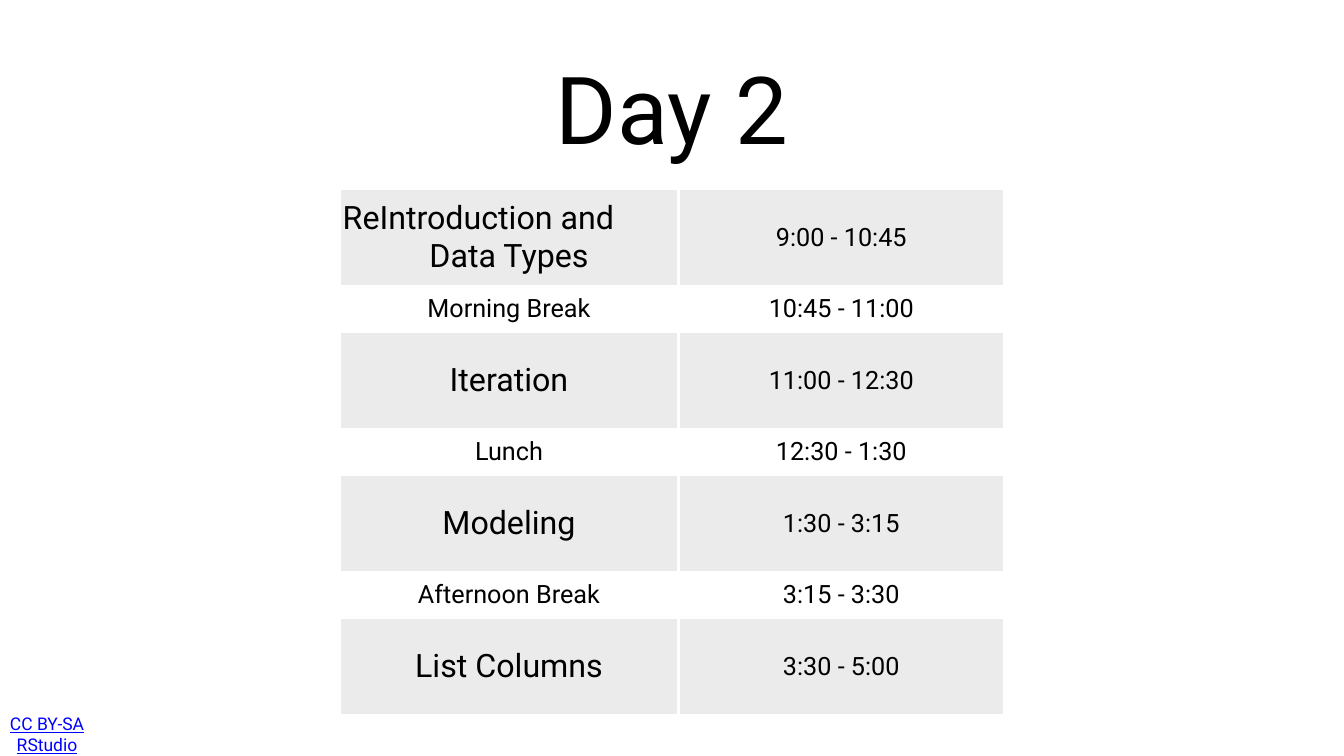
from lxml import etree
from pptx import Presentation
from pptx.dml.color import RGBColor
from pptx.enum.text import MSO_ANCHOR, PP_ALIGN
from pptx.oxml.ns import qn
from pptx.util import Inches, Pt

LEFT, CENTER = PP_ALIGN.LEFT, PP_ALIGN.CENTER
MIDDLE = MSO_ANCHOR.MIDDLE
WIDTH, HEIGHT = 26.67, 15
BLACK, WHITE, GRAY, BLUE = "000000", "FFFFFF", "EBEBEB", "0000FF"
SESSION_SIZE, TEXT_SIZE, TITLE_SIZE, LICENSE_SIZE = 46, 36, 134, 25
SESSION_HEIGHT, BREAK_HEIGHT = 1.94, 0.9
COLUMN_WIDTHS = 6.72, 6.47
INSET = 0.06
BORDER_WIDTH = 5
MARGINS = "margin_left", "margin_top", "margin_right", "margin_bottom"

SCHEDULE = [
    ([("ReIntroduction and", LEFT), ("Data Types", CENTER)], "9:00 - 10:45"),
    ([("Morning Break", CENTER)], "10:45 - 11:00"),
    ([("Iteration", CENTER)], "11:00 - 12:30"),
    ([("Lunch", CENTER)], "12:30 - 1:30"),
    ([("Modeling", CENTER)], "1:30 - 3:15"),
    ([("Afternoon Break", CENTER)], "3:15 - 3:30"),
    ([("List Columns", CENTER)], "3:30 - 5:00"),
]


def color(value):
    return RGBColor.from_string(value)


def set_attributes(target, values):
    for name, value in values.items():
        setattr(target, name, value)


class SlideBuilder:
    font_name = "Roboto"

    def __init__(self, presentation):
        self.slide = presentation.slides.add_slide(presentation.slide_layouts[6])
        background = self.slide.background.fill
        background.solid()
        background.fore_color.rgb = color(WHITE)

    def add_lines(self, frame, lines, size, text_color=BLACK, underline=False):
        for index, (text, alignment) in enumerate(lines):
            paragraph = frame.paragraphs[0] if index == 0 else frame.add_paragraph()
            paragraph.alignment = alignment
            run = paragraph.add_run()
            run.text = text
            set_attributes(run.font, {
                "name": self.font_name, "size": Pt(size), "underline": underline,
            })
            run.font.color.rgb = color(text_color)

    def text(self, text, left, top, width, height, size, insets, **style):
        shape = self.slide.shapes.add_textbox(
            Inches(left * WIDTH), Inches(top * HEIGHT),
            Inches(width * WIDTH), Inches(height * HEIGHT))
        frame = shape.text_frame
        set_attributes(frame, {"word_wrap": True, "vertical_anchor": MIDDLE})
        set_attributes(frame, dict(zip(MARGINS, map(Inches, insets))))
        self.add_lines(frame, [(text, CENTER)], size, **style)

    def border(self, cell):
        properties = cell._tc.get_or_add_tcPr()
        for index, side in enumerate(("a:lnL", "a:lnR", "a:lnT", "a:lnB")):
            line = etree.Element(qn(side), w=str(Pt(BORDER_WIDTH)))
            fill = etree.SubElement(line, qn("a:solidFill"))
            etree.SubElement(fill, qn("a:srgbClr"), val=WHITE)
            properties.insert(index, line)

    def cell(self, cell, lines, size, shaded):
        set_attributes(cell, dict.fromkeys(MARGINS, Inches(INSET)))
        cell.vertical_anchor = MIDDLE
        if shaded:
            cell.fill.solid()
            cell.fill.fore_color.rgb = color(GRAY)
        else:
            cell.fill.background()
        self.border(cell)
        self.add_lines(cell.text_frame, lines, size)

    def schedule(self, entries, left, top):
        heights = [BREAK_HEIGHT if index % 2 else SESSION_HEIGHT
                   for index in range(len(entries))]
        table = self.slide.shapes.add_table(
            len(entries), len(COLUMN_WIDTHS),
            Inches(left * WIDTH), Inches(top * HEIGHT),
            Inches(sum(COLUMN_WIDTHS)), Inches(sum(heights))).table
        set_attributes(table, {"first_row": False, "horz_banding": False})
        for column, width in zip(table.columns, COLUMN_WIDTHS):
            column.width = Inches(width)
        for index, (topic, time) in enumerate(entries):
            is_session = index % 2 == 0
            table.rows[index].height = Inches(heights[index])
            topic_size = SESSION_SIZE if is_session else TEXT_SIZE
            self.cell(table.cell(index, 0), topic, topic_size, is_session)
            self.cell(table.cell(index, 1), [(time, CENTER)], TEXT_SIZE, is_session)


def main():
    presentation = Presentation()
    set_attributes(presentation, {
        "slide_width": Inches(WIDTH), "slide_height": Inches(HEIGHT),
    })
    builder = SlideBuilder(presentation)
    builder.text("CC BY-SA RStudio", 0.12 / WIDTH, 14.26 / HEIGHT, 0.1, 0.04,
                 LICENSE_SIZE, (0, 0.08, 1.04, 0.08),
                 text_color=BLUE, underline=True)
    builder.text("Day 2", 4.38 / WIDTH, 0.81 / HEIGHT, 17.9 / WIDTH, 2.62 / HEIGHT,
                 TITLE_SIZE, (INSET,) * 4)
    builder.schedule(SCHEDULE, 6.74 / WIDTH, 3.74 / HEIGHT)
    presentation.save("out.pptx")


if __name__ == "__main__":
    main()
